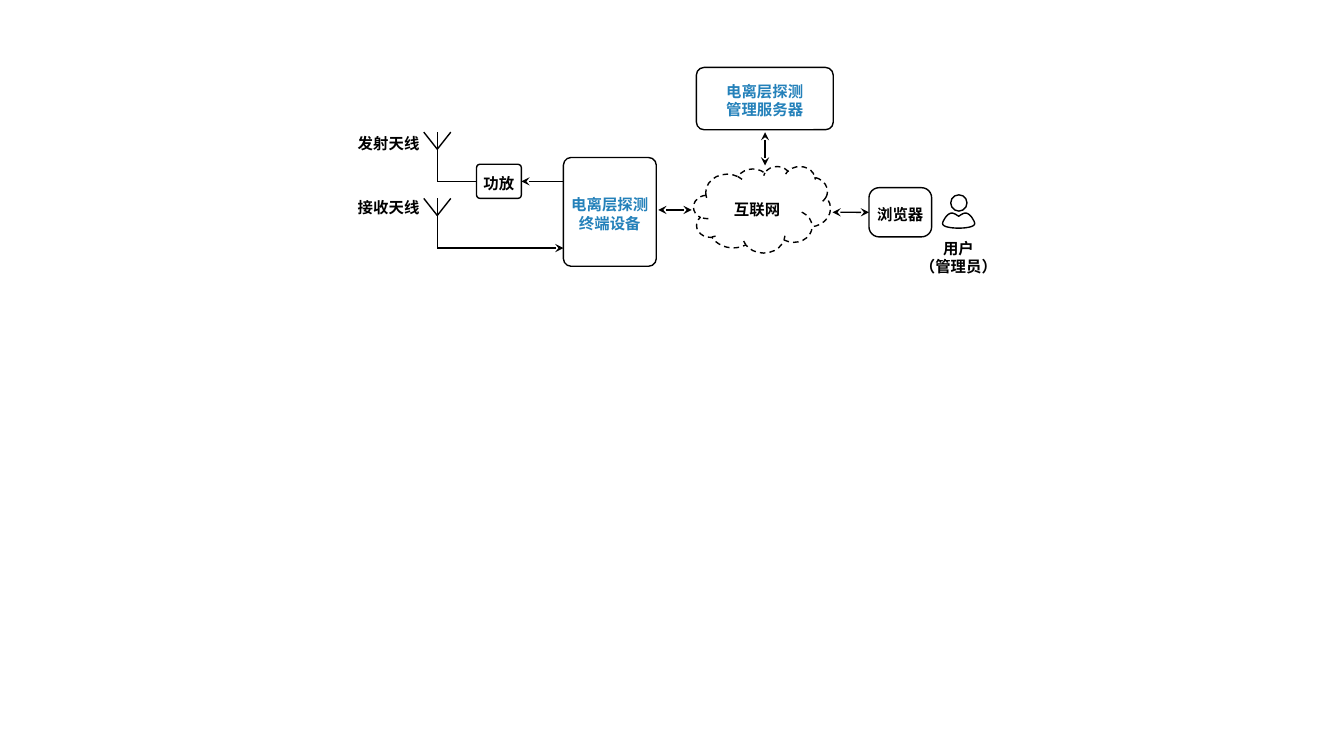
"""Draws the system diagram of an ionosphere sounding network on one slide."""
from dataclasses import dataclass

from lxml.etree import SubElement
from pptx import Presentation
from pptx.dml.color import RGBColor
from pptx.enum.dml import MSO_LINE
from pptx.enum.shapes import MSO_CONNECTOR, MSO_SHAPE
from pptx.enum.text import MSO_ANCHOR, PP_ALIGN
from pptx.oxml.ns import qn
from pptx.util import Cm, Pt

LEFT, RIGHT = 1, 3


@dataclass(frozen=True)
class Theme:
    font: str = "DejaVu Sans Mono"
    size: Pt = Pt(11)
    stroke: Pt = Pt(1)
    ink: RGBColor = RGBColor(0x00, 0x00, 0x00)
    accent: RGBColor = RGBColor(0x24, 0x81, 0xBA)


class Diagram:
    def __init__(self, slide, theme):
        self.shapes = slide.shapes
        self.theme = theme

    def set_text(self, shape, lines, color):
        frame = shape.text_frame
        frame.word_wrap = True
        frame.vertical_anchor = MSO_ANCHOR.MIDDLE
        frame.margin_left = frame.margin_right = frame.margin_bottom = 0
        frame.margin_top = Cm(0.1)
        frame.text = "\n".join(lines)
        for paragraph in frame.paragraphs:
            paragraph.alignment = PP_ALIGN.CENTER
            font = paragraph.font
            font.name, font.size, font.bold = self.theme.font, self.theme.size, True
            font.color.rgb = color
            properties = paragraph._p.pPr.find(qn("a:defRPr"))
            SubElement(properties, qn("a:ea"), typeface=self.theme.font)

    def outline(self, shape):
        shape.shadow.inherit = False
        shape.fill.background()
        shape.line.color.rgb = self.theme.ink
        shape.line.width = self.theme.stroke

    def label(self, place, *lines):
        self.set_text(self.shapes.add_textbox(*map(Cm, place)), lines, self.theme.ink)

    def preset(self, kind, place):
        shape = self.shapes.add_shape(kind, *map(Cm, place))
        self.outline(shape)
        return shape

    def node(self, place, rounding, *lines, color=None):
        node = self.preset(MSO_SHAPE.ROUNDED_RECTANGLE, place)
        node.adjustments[0] = rounding
        self.set_text(node, lines, color or self.theme.ink)
        return node

    def cloud(self, place, *lines):
        cloud = self.preset(MSO_SHAPE.CLOUD, place)
        cloud.line.dash_style = MSO_LINE.DASH
        self.set_text(cloud, lines, self.theme.ink)

    def link(self, start, end, arrows=(), source=None, target=None):
        link = self.shapes.add_connector(MSO_CONNECTOR.STRAIGHT, *map(Cm, start + end))
        link.line.color.rgb = self.theme.ink
        link.line.width = self.theme.stroke
        properties = link._element.spPr
        for arrow in arrows:
            SubElement(properties.find(qn("a:ln")), qn(f"a:{arrow}"), type="stealth")
        SubElement(properties, qn("a:effectLst"))
        if source:
            link.begin_connect(*source)
        if target:
            link.end_connect(*target)

    def antenna(self, x, top):
        fork = (x, top + 0.43)
        self.link((x, top), (x, top + 1.25))
        for side in (-0.34, 0.34):
            self.link((x + side, top), fork)

    def user(self, x, top):
        self.preset(MSO_SHAPE.OVAL, (x - 0.2, top, 0.41, 0.41))
        half = [(0, 0.54), (-0.05, 0.51), (-0.11, 0.46), (-0.18, 0.46),
                (-0.24, 0.47), (-0.29, 0.51), (-0.34, 0.58),
                (-0.37, 0.64), (-0.43, 0.71), (-0.39, 0.76),
                (-0.34, 0.82), (-0.14, 0.84), (0, 0.84)]
        left = [point for i in range(0, 12, 3) for point in curve(half[i:i + 4])]
        right = [(-dx, dy) for dx, dy in reversed(left)]
        points = [(Cm(x + dx), Cm(top + dy)) for dx, dy in left + right]
        builder = self.shapes.build_freeform(*points[0])
        builder.add_line_segments(points[1:], close=True)
        self.outline(builder.convert_to_shape())


def curve(controls, steps=10):
    points = []
    for step in range(steps + 1):
        t = step / steps
        weights = ((1 - t) ** 3, 3 * t * (1 - t) ** 2, 3 * t * t * (1 - t), t ** 3)
        points.append(tuple(sum(w * c[axis] for w, c in zip(weights, controls))
                            for axis in (0, 1)))
    return points


def main():
    presentation = Presentation()
    presentation.slide_width, presentation.slide_height = Cm(33.87), Cm(19.05)
    theme = Theme()
    diagram = Diagram(presentation.slides.add_slide(presentation.slide_layouts[6]), theme)

    diagram.node((17.55, 1.7, 3.45, 1.57), 0.123,
                 "电离层探测", "管理服务器", color=theme.accent)
    diagram.node((14.2, 3.97, 2.34, 2.74), 0.082,
                 "电离层探测终端设备", color=theme.accent)
    amplifier = diagram.node((12.01, 4.14, 1.13, 0.86), 0.102, "功放")
    browser = diagram.node((21.9, 4.73, 1.58, 1.24), 0.206, "浏览器")
    diagram.cloud((17.48, 4.19, 3.45, 2.18), "互联网")

    antenna_x, both = 11.02, ("headEnd", "tailEnd")
    for name, label_top, top in (("发射天线", 3.33, 3.33), ("接收天线", 4.93, 5.0)):
        diagram.label((8.92, label_top, 1.75, 0.47), name)
        diagram.antenna(antenna_x, top)
    diagram.link((antenna_x, 4.57), (12.01, 4.57), target=(amplifier, LEFT))
    diagram.link((13.14, 4.57), (14.2, 4.57), ("headEnd",), source=(amplifier, RIGHT))
    diagram.link((antenna_x, 6.25), (14.2, 6.25), ("tailEnd",))
    diagram.link((16.59, 5.29), (17.43, 5.29), both)
    diagram.link((19.28, 4.17), (19.28, 3.33), both)
    diagram.link((20.98, 5.35), (21.9, 5.35), both, target=(browser, LEFT))

    diagram.user(24.16, 4.91)
    diagram.label((23.09, 5.92, 2.13, 1.04), "用户", "（管理员）")
    presentation.save("out.pptx")


if __name__ == "__main__":
    main()
